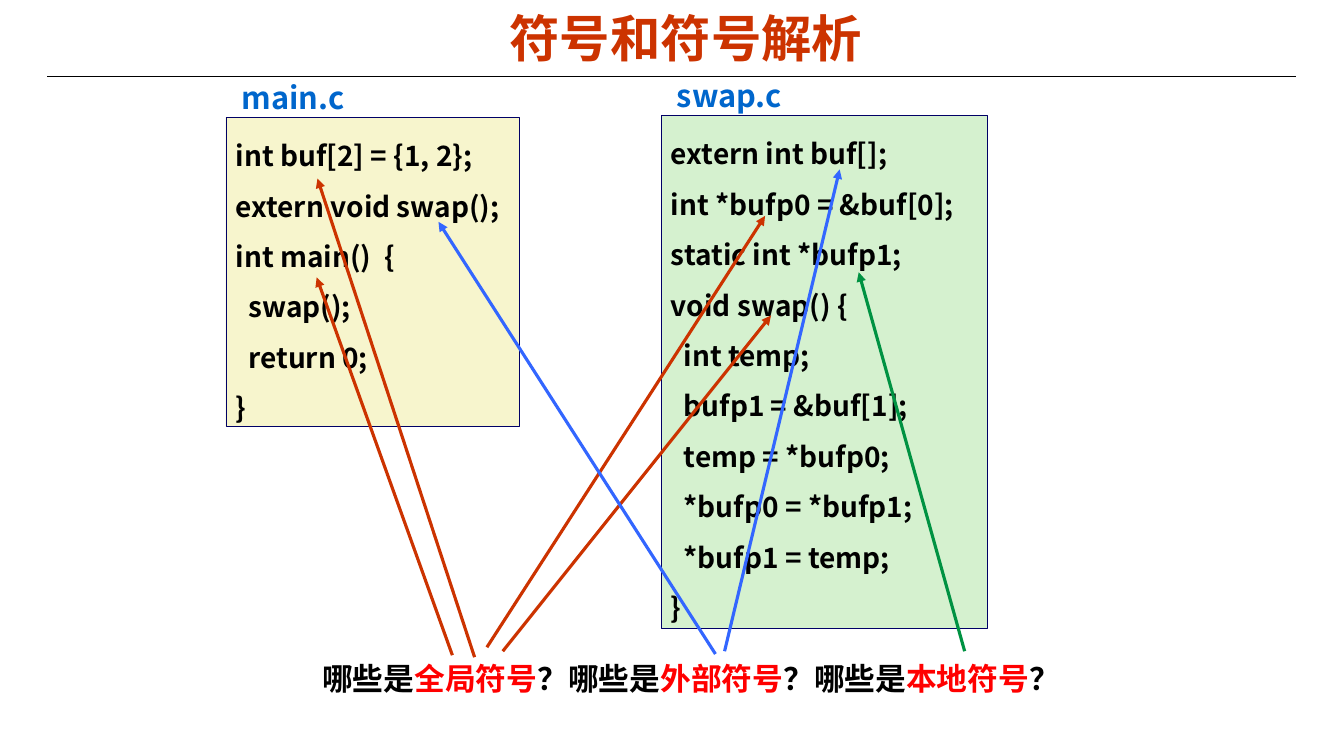
from dataclasses import dataclass

from lxml.etree import SubElement
from pptx import Presentation
from pptx.dml.color import RGBColor
from pptx.enum.shapes import MSO_CONNECTOR as Connector, MSO_SHAPE as Shape
from pptx.enum.text import MSO_ANCHOR as Anchor, PP_ALIGN as Align
from pptx.oxml.ns import qn
from pptx.util import Cm, Pt


@dataclass(frozen=True)
class Theme:
    black: str = "000000"
    title: str = "CC3300"
    file_name: str = "0066CC"
    keyword: str = "FF0000"
    code_border: str = "000066"
    main_fill: str = "F7F5CD"
    swap_fill: str = "D5F1CF"
    global_symbol: str = "CC3300"
    external_symbol: str = "3366FF"
    local_symbol: str = "009242"
    sans: str = "Arial"
    cjk: str = "Noto Sans CJK SC"
    title_size: int = 36
    label_size: int = 22
    code_size: int = 20
    thin: float = 0.25
    rule: float = 0.75
    arrow: float = 2.25


theme = Theme()

TITLE = "符号和符号解析"
QUESTION = [
    ("哪些是", theme.black), ("全局符号", theme.keyword),
    ("？哪些是", theme.black), ("外部符号", theme.keyword),
    ("？哪些是", theme.black), ("本地符号", theme.keyword),
    ("？", theme.black),
]
MAIN_CODE = """int buf[2] = {1, 2};
extern void swap();
int main()  {
  swap();
  return 0;
}"""
SWAP_CODE = """extern int buf[];
int *bufp0 = &buf[0];
static int *bufp1;
void swap() {
  int temp;
  bufp1 = &buf[1];
  temp = *bufp0;
  *bufp0 = *bufp1;
  *bufp1 = temp;
}"""
SOURCES = [
    ("main.c", MAIN_CODE, (5.69, 2.95, 7.39, 7.8), theme.main_fill),
    ("swap.c", SWAP_CODE, (16.66, 2.9, 8.23, 12.93), theme.swap_fill),
]
SYMBOL_ARROWS = {
    theme.global_symbol: [
        ((11.96, 16.56), (8, 4.5)),
        ((11.4, 16.51), (7.98, 6.99)),
        ((12.27, 16.31), (19.28, 5.44)),
        ((12.67, 16.41), (19.43, 7.95)),
    ],
    theme.external_symbol: [
        ((18.03, 16.48), (11.05, 5.59)),
        ((18.26, 16.41), (21.16, 4.27)),
    ],
    theme.local_symbol: [((24.31, 16.41), (21.64, 6.86))],
}
LABEL_SHIFT = (0.15, -1.02)
LABEL_SIZE = (3.7, 1.14)

deck = Presentation()
deck.slide_width, deck.slide_height = Cm(33.87), Cm(19.05)
slide = deck.slides.add_slide(deck.slide_layouts[6])


def add_text(lines, box, *, size, font=theme.cjk, color=theme.black, align=Align.LEFT,
             anchor=Anchor.TOP, spacing=1.0, fill=None):
    place = [Cm(length) for length in box]
    if fill:
        holder = slide.shapes.add_shape(Shape.RECTANGLE, *place)
        holder.shadow.inherit = False
        holder.fill.solid()
        holder.fill.fore_color.rgb = RGBColor.from_string(fill)
        holder.line.color.rgb = RGBColor.from_string(theme.code_border)
        holder.line.width = Pt(theme.thin)
    else:
        holder = slide.shapes.add_textbox(*place)
    frame = holder.text_frame
    frame.word_wrap = True
    frame.vertical_anchor = anchor
    for index, line in enumerate(lines):
        paragraph = frame.add_paragraph() if index else frame.paragraphs[0]
        paragraph.alignment = align
        paragraph.line_spacing = spacing
        for words, tint in [(line, color)] if isinstance(line, str) else line:
            run = paragraph.add_run()
            run.text = words
            run.font.size = Pt(size)
            run.font.bold = True
            run.font.color.rgb = RGBColor.from_string(tint)
            run.font.name = font
            SubElement(run.font._element, qn("a:ea")).set("typeface", theme.cjk)


def add_line(start, end, color, width, arrow=False):
    ends = [Cm(length) for length in (*start, *end)]
    line = slide.shapes.add_connector(Connector.STRAIGHT, *ends)
    line.line.color.rgb = RGBColor.from_string(color)
    line.line.width = Pt(width)
    if arrow:
        SubElement(line.line._get_or_add_ln(), qn("a:tailEnd")).set("type", "triangle")
    SubElement(line._element.spPr, qn("a:effectLst"))


add_line((1.19, 1.93), (32.66, 1.93), theme.black, theme.rule)
add_text([TITLE], (5.18, -0.15, 24.21, 2.18), size=theme.title_size, font=theme.sans,
         color=theme.title, align=Align.CENTER, anchor=Anchor.MIDDLE)

for file_name, code, box, fill in SOURCES:
    add_text(code.splitlines(), box, size=theme.code_size, spacing=1.5, fill=fill)
    corner = [edge + shift for edge, shift in zip(box, LABEL_SHIFT)]
    add_text([file_name], (*corner, *LABEL_SIZE), size=theme.label_size,
             color=theme.file_name, spacing=0.94)

add_text([QUESTION], (7.87, 16.51, 20.78, 1.19), size=theme.label_size, font=theme.sans)

for color, arrows in SYMBOL_ARROWS.items():
    for start, end in arrows:
        add_line(start, end, color, theme.arrow, arrow=True)

deck.save("out.pptx")
